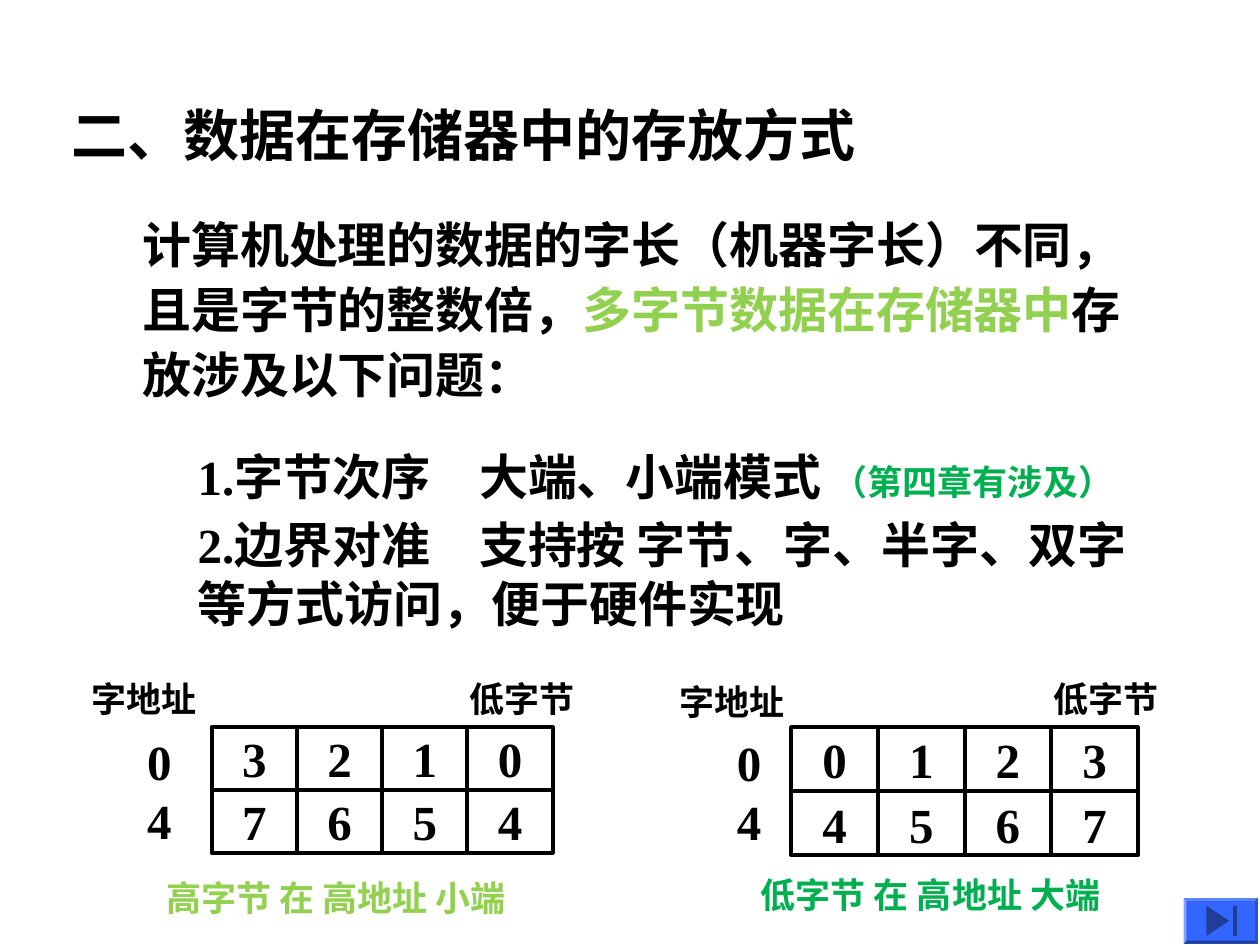
from typing import NamedTuple

from lxml.etree import SubElement
from pptx import Presentation
from pptx.dml.color import RGBColor as Rgb
from pptx.enum.shapes import MSO_SHAPE as Kind
from pptx.enum.text import MSO_ANCHOR as Anchor, MSO_AUTO_SIZE as Auto, PP_ALIGN as Align
from pptx.oxml.ns import qn
from pptx.util import Pt

BLACK, LIME, GREEN = "000000", "92D050", "00B050"
FONT = "Times New Roman"


class Run(NamedTuple):
    text: str
    size: float = 28
    color: str = BLACK


class Line(NamedTuple):
    runs: list[Run]
    style: dict = {}


class Box(NamedTuple):
    x: float
    y: float
    w: float
    h: float


class Word(NamedTuple):
    """One memory layout: its cell grid, labels and caption."""
    grid: Box
    rows: list[str]
    head: Box
    addr: Box
    low: Box
    note: Box
    text: str
    color: str


def color(code: str) -> Rgb:
    return Rgb.from_string(code)


def apply(item, style: dict) -> None:
    for name, value in style.items():
        setattr(item, name, value)


def place(shape, box: Box) -> None:
    names = ("left", "top", "width", "height")
    apply(shape, dict(zip(names, map(Pt, box))))


def write(shape, lines: list[Line], wrap: bool = True, anchor=Anchor.TOP) -> None:
    frame = shape.text_frame
    apply(frame, {"word_wrap": wrap, "auto_size": Auto.NONE, "vertical_anchor": anchor})
    for i, line in enumerate(lines):
        para = frame.add_paragraph() if i else frame.paragraphs[0]
        base = {"alignment": Align.LEFT, "space_before": Pt(0)}
        apply(para, base | line.style)
        # No bullet or indent
        props = para._p.get_or_add_pPr()
        props.set("marL", "0")
        props.set("indent", "0")
        SubElement(props, qn("a:buNone"))
        for part in line.runs:
            run = para.add_run()
            run.text = part.text
            apply(run.font, {"name": FONT, "size": Pt(part.size), "bold": True})
            run.font.color.rgb = color(part.color)


def label(shapes, box: Box, lines: list[Line], wrap: bool = True) -> None:
    write(shapes.add_textbox(*map(Pt, box)), lines, wrap)


def cell(shapes, box: Box, text: str) -> None:
    rect = shapes.add_shape(Kind.RECTANGLE, *map(Pt, box))
    rect.shadow.inherit = False
    rect.fill.background()
    rect.line.color.rgb = color(BLACK)
    rect.line.width = Pt(2.25)
    write(rect, [Line([Run(text)], {"alignment": Align.CENTER})], False, Anchor.MIDDLE)


def draw(shapes, word: Word) -> None:
    group = shapes.add_group_shape().shapes
    x, y, w, h = word.grid
    for r, row in enumerate(word.rows):
        for c, digit in enumerate(row):
            cell(group, Box(x + c * w, y + r * h, w, h), digit)
    label(group, word.head, [Line([Run("字地址", 20)])], False)
    label(group, word.addr, [Line([Run(n)]) for n in "04"], False)
    label(group, word.low, [Line([Run("低字节", 20)])])
    label(shapes, word.note, [Line([Run(word.text, 20, word.color)])])


def facet(shapes, spots: list[tuple[float, float]], code: str) -> None:
    first, *rest = [(Pt(x), Pt(y)) for x, y in spots]
    pen = shapes.build_freeform(*first)
    pen.add_line_segments(rest, close=True)
    part = pen.convert_to_shape()
    part.shadow.inherit = False
    part.fill.solid()
    part.fill.fore_color.rgb = color(code)
    part.line.fill.background()


def button(shapes, box: Box, rim: float) -> None:
    """Bevelled button with a skip-to-end sign."""
    group = shapes.add_group_shape().shapes
    x, y, w, h = box
    r, b = x + w, y + h
    outer = [(x, y), (r, y), (r, b), (x, b)]
    inner = [(x + rim, y + rim), (r - rim, y + rim), (r - rim, b - rim), (x + rim, b - rim)]
    facet(group, outer, "3366FF")
    for i, code in enumerate(("5C85FF", "2952CC", "1F3D99", "85A3FF")):
        j = (i + 1) % 4
        facet(group, [outer[i], outer[j], inner[j], inner[i]], code)
    mid, half = y + h / 2, 8.6
    facet(group, [(x + 26, mid), (x + 13, mid + half), (x + 13, mid - half)], "1F3D99")
    left, right = x + 28, x + 30.2
    facet(group, [(left, mid - half), (right, mid - half),
                  (right, mid + half), (left, mid + half)], "1F3D99")


# Captions hold one en space before the last word
WORDS = [
    Word(Box(121, 415.4, 48.7, 36), ["3210", "7654"], Box(45.4, 383.8, 75.6, 31.7),
         Box(77, 414.7, 28, 75), Box(261.4, 383.8, 97.2, 31.7),
         Box(87.8, 497.5, 265, 31.7), "高字节 在 高地址 小端", LIME),
    Word(Box(452.2, 415.6, 49.5, 36.6), ["0123", "4567"], Box(381, 385.2, 74, 31.7),
         Box(414, 414.9, 28, 75), Box(594.7, 383.8, 99.4, 31.7),
         Box(427.7, 495.4, 231, 31.7), "低字节 在 高地址 大端", GREEN),
]


def main() -> None:
    deck = Presentation()
    apply(deck, {"slide_width": Pt(720), "slide_height": Pt(540)})
    slide = deck.slides.add_slide(deck.slide_layouts[1])
    shapes = slide.shapes

    # Title
    place(shapes.title, Box(33.8, 54, 513.4, 46))
    write(shapes.title, [Line([Run("二、数据在存储器中的存放方式", 32)])])

    # Introduction
    label(shapes, Box(74.2, 115.9, 600.5, 118), [Line([
        Run("计算机处理的数据的字长（机器字长）不同，且是字节的整数倍，"),
        Run("多字节数据在存储器中", color=LIME),
        Run("存放涉及以下问题："),
    ], {"line_spacing": 1.1})])

    # Numbered points, each with one full-width space after its name
    body = slide.placeholders[1]
    place(body, Box(105.8, 234.7, 566, 130.3))
    write(body, [
        Line([Run("1.字节次序　大端、小端模式 "), Run("（第四章有涉及）", 20, GREEN)],
             {"line_spacing": 1.5}),
        Line([Run("2.边界对准　支持按 字节、字、半字、双字等方式访问，便于硬件实现")],
             {"space_before": Pt(5.2)}),
    ])

    # Memory layouts and button
    for word in WORDS:
        draw(shapes, word)
    button(shapes, Box(676.4, 513.2, 42.4, 26), 1.6)

    deck.save("out.pptx")


if __name__ == "__main__":
    main()
